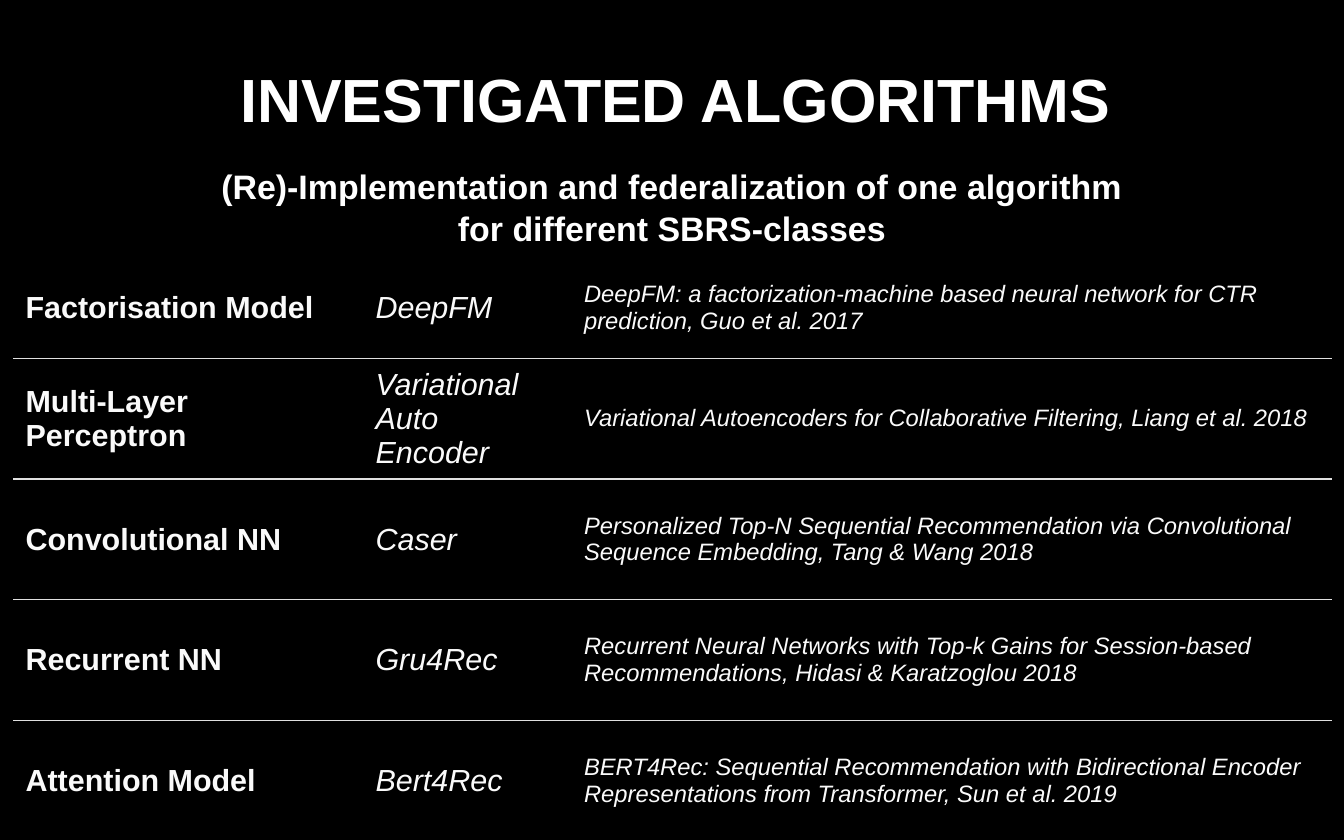
import pptx
import pptx.dml.color
import pptx.enum.text
import pptx.oxml
import pptx.oxml.ns
import pptx.util
from pptx.util import Inches

COLORS = {"background": "000000", "heading": "FFFFFF", "cell": "FAFAFA", "rule": "E0E0E0"}

ALGORITHMS = [
    ("Factorisation Model", "DeepFM",
     "DeepFM: a factorization-machine based neural network for CTR prediction, Guo et al. 2017"),
    ("Multi-Layer Perceptron", "Variational Auto Encoder",
     "Variational Autoencoders for Collaborative Filtering, Liang et al. 2018"),
    ("Convolutional NN", "Caser",
     "Personalized Top-N Sequential Recommendation via Convolutional Sequence Embedding, "
     "Tang & Wang 2018"),
    ("Recurrent NN", "Gru4Rec",
     "Recurrent Neural Networks with Top-k Gains for Session-based Recommendations, "
     "Hidasi & Karatzoglou 2018"),
    ("Attention Model", "Bert4Rec",
     "BERT4Rec: Sequential Recommendation with Bidirectional Encoder Representations "
     "from Transformer, Sun et al. 2019"),
]
COLUMN_WIDTHS = [2.87, 1.71, 6.23]
COLUMN_STYLES = [(18, True, False), (18, False, True), (14, False, True)]
ROW_HEIGHTS = [0.83] + [0.99] * 4


def rgb(name):
    return pptx.dml.color.RGBColor.from_string(COLORS[name])


class SlideBuilder:
    font_name = "Arial"
    rule_width = pptx.util.Pt(0.85)

    def __init__(self, deck):
        self.slide = deck.slides.add_slide(deck.slide_layouts[5])
        background = self.slide.background.fill
        background.solid()
        background.fore_color.rgb = rgb("background")

    def style_runs(self, frame, size, color, bold=False, italic=False):
        for para in frame.paragraphs:
            for span in para.runs:
                span.font.name = self.font_name
                span.font.size = pptx.util.Pt(size)
                span.font.bold = bold
                span.font.italic = italic
                span.font.color.rgb = rgb(color)

    def heading(self, box, text, size, anchor, line_spacing):
        frame = box.text_frame
        frame.text = text
        frame.word_wrap = True
        frame.auto_size = pptx.enum.text.MSO_AUTO_SIZE.NONE
        frame.vertical_anchor = anchor
        frame.margin_left = frame.margin_right = 0
        frame.margin_top = frame.margin_bottom = 0
        para = frame.paragraphs[0]
        para.alignment = pptx.enum.text.PP_ALIGN.CENTER
        para.line_spacing = line_spacing
        self.style_runs(frame, size, color="heading", bold=True)

    def title(self, text, left, top, width, height):
        box = self.slide.shapes.title
        box.left, box.top = Inches(left), Inches(top)
        box.width, box.height = Inches(width), Inches(height)
        self.heading(box, text, 36, pptx.enum.text.MSO_ANCHOR.MIDDLE, 1.0)

    def subtitle(self, text, left, top, width, height):
        box = self.slide.shapes.add_textbox(
            Inches(left), Inches(top), Inches(width), Inches(height))
        self.heading(box, text, 20, pptx.enum.text.MSO_ANCHOR.TOP, 1.05)

    def cell_rules(self, cell, above, below):
        """Draw the chosen horizontal rules of a cell and hide its other borders."""
        properties = cell._tc.get_or_add_tcPr()
        sides = {"lnL": False, "lnR": False, "lnT": above, "lnB": below}
        for position, (side, shown) in enumerate(sides.items()):
            paint = "<a:noFill/>"
            if shown:
                paint = f'<a:solidFill><a:srgbClr val="{COLORS["rule"]}"/></a:solidFill>'
            line = pptx.oxml.parse_xml(
                f'<a:{side} {pptx.oxml.ns.nsdecls("a")} w="{self.rule_width}">{paint}</a:{side}>')
            properties.insert(position, line)

    def table(self, rows, left, top):
        frame = self.slide.shapes.add_table(
            len(rows), len(COLUMN_WIDTHS), Inches(left), Inches(top),
            Inches(sum(COLUMN_WIDTHS)), Inches(sum(ROW_HEIGHTS)))
        table = frame.table
        table.first_row = table.horz_banding = False
        for column, width in zip(table.columns, COLUMN_WIDTHS):
            column.width = Inches(width)
        for row_index, texts in enumerate(rows):
            table.rows[row_index].height = Inches(ROW_HEIGHTS[row_index])
            for column_index, text in enumerate(texts):
                cell = table.cell(row_index, column_index)
                cell.text_frame.text = text
                cell.vertical_anchor = pptx.enum.text.MSO_ANCHOR.MIDDLE
                cell.fill.solid()
                cell.fill.fore_color.rgb = rgb("background")
                size, bold, italic = COLUMN_STYLES[column_index]
                self.style_runs(cell.text_frame, size, "cell", bold, italic)
                self.cell_rules(cell, above=row_index > 0, below=row_index < len(rows) - 1)


def main():
    deck = pptx.Presentation()
    deck.slide_width, deck.slide_height = Inches(11.02), Inches(6.89)
    page = SlideBuilder(deck)
    page.title("INVESTIGATED ALGORITHMS", 0.33, 0.23, 10.42, 1.15)
    page.subtitle("(Re)-Implementation and federalization of one algorithm\v"
                  "for different SBRS-classes", 0.32, 1.34, 10.38, 0.86)
    page.table(ALGORITHMS, 0.11, 2.11)
    deck.save("out.pptx")


if __name__ == "__main__":
    main()
